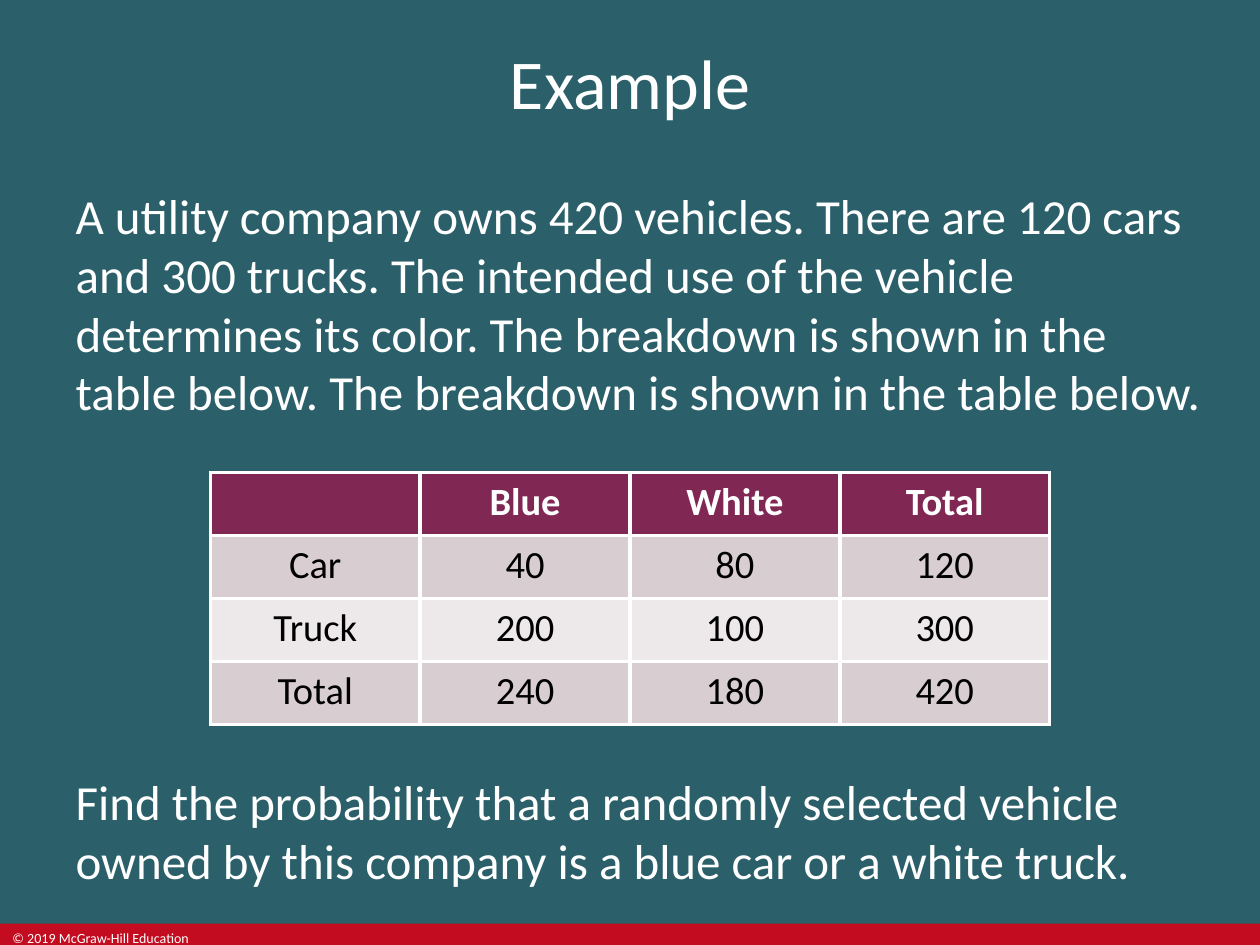
from lxml.etree import SubElement
from pptx import Presentation
from pptx.dml.color import RGBColor
from pptx.enum.shapes import MSO_SHAPE as Shape
from pptx.enum.text import MSO_ANCHOR as Anchor, MSO_AUTO_SIZE as AutoSize, PP_ALIGN as Align
from pptx.oxml.ns import qn
from pptx.util import Cm, Pt

TEAL = RGBColor(0x2B, 0x60, 0x6A)
RED = RGBColor(0xC3, 0x0C, 0x20)
PLUM = RGBColor(0x80, 0x27, 0x54)
BANDS = [RGBColor(0xD8, 0xCD, 0xD1), RGBColor(0xED, 0xE8, 0xE9)]
WHITE = RGBColor(0xFF, 0xFF, 0xFF)
BLACK = RGBColor(0x00, 0x00, 0x00)

TITLE = "Example"
SETUP = ("A utility company owns 420 vehicles. There are 120 cars and 300 trucks. "
         "The intended use of the vehicle determines its color. "
         "The breakdown is shown in the table below. "
         "The breakdown is shown in the table below.")
QUESTION = ("Find the probability that a randomly selected vehicle owned by this "
            "company is a blue car or a white truck.")
COPYRIGHT = "© 2019 McGraw-Hill Education"
VEHICLES = [
    ("", "Blue", "White", "Total"),
    ("Car", "40", "80", "120"),
    ("Truck", "200", "100", "300"),
    ("Total", "240", "180", "420"),
]

SLIDE_W, SLIDE_H = Cm(25.4), Cm(19.05)
COLUMN_W, ROW_H = Cm(4.23), Cm(1.27)
TABLE_TOP = Cm(9.53)
FOOTER_H = Cm(0.43)


def write(frame, text, size, color=WHITE, align=Align.LEFT, bold=False, after=0):
    frame.text = text
    paragraph = frame.paragraphs[0]
    properties = paragraph._p.get_or_add_pPr()
    properties.set("marL", "0")
    properties.set("indent", "0")
    SubElement(properties, qn("a:buNone"))
    paragraph.alignment = align
    paragraph.space_before = Pt(0)
    paragraph.space_after = Pt(after)
    font = paragraph.runs[0].font
    font.name, font.size, font.bold = "Calibri", Pt(size), bold
    font.color.rgb = color


def fill_placeholder(holder, box, text, size, anchor=Anchor.TOP, **style):
    holder.left, holder.top, holder.width, holder.height = box
    frame = holder.text_frame
    frame.word_wrap = True
    frame.auto_size = AutoSize.NONE
    frame.vertical_anchor = anchor
    write(frame, text, size, **style)


def add_borders(cell, color, width):
    properties = cell._tc.get_or_add_tcPr()
    for side in ("lnL", "lnR", "lnT", "lnB"):
        line = SubElement(properties, qn(f"a:{side}"), w=str(width))
        solid = SubElement(line, qn("a:solidFill"))
        SubElement(solid, qn("a:srgbClr"), val=str(color))


def add_vehicle_table(slide):
    rows, columns = len(VEHICLES), len(VEHICLES[0])
    width = COLUMN_W * columns
    table = slide.shapes.add_table(rows, columns, (SLIDE_W - width) // 2, TABLE_TOP,
                                   width, ROW_H * rows).table
    for column in table.columns:
        column.width = COLUMN_W
    for r, values in enumerate(VEHICLES):
        table.rows[r].height = ROW_H
        header = r == 0
        for c, value in enumerate(values):
            cell = table.cell(r, c)
            add_borders(cell, WHITE, Pt(2.25))
            cell.fill.solid()
            cell.fill.fore_color.rgb = PLUM if header else BANDS[(r - 1) % 2]
            if value:
                write(cell.text_frame, value, 22, color=WHITE if header else BLACK,
                      align=Align.CENTER, bold=header)


def add_footer(slide):
    top = SLIDE_H - FOOTER_H
    band = slide.shapes.add_shape(Shape.RECTANGLE, 0, top, SLIDE_W, FOOTER_H)
    band.shadow.inherit = False
    band.fill.solid()
    band.fill.fore_color.rgb = RED
    band.line.fill.background()
    notice = slide.shapes.add_textbox(0, top, Cm(4.32), FOOTER_H).text_frame
    notice.word_wrap = True
    write(notice, COPYRIGHT, 8)


def main():
    deck = Presentation()
    deck.slide_width, deck.slide_height = SLIDE_W, SLIDE_H
    slide = deck.slides.add_slide(deck.slide_layouts.get_by_name("Two Content"))
    slide.background.fill.solid()
    slide.background.fill.fore_color.rgb = TEAL

    add_footer(slide)
    title, setup, question = list(slide.placeholders)[:3]
    fill_placeholder(title, (0, 0, SLIDE_W, Cm(3.3)), TITLE, 40,
                     anchor=Anchor.MIDDLE, align=Align.CENTER)
    fill_placeholder(setup, (Cm(1.27), Cm(3.61), Cm(23.37), Cm(5.08)), SETUP, 28, after=6)
    add_vehicle_table(slide)
    fill_placeholder(question, (Cm(1.27), Cm(15.42), Cm(22.86), Cm(2.79)), QUESTION, 28,
                     after=6)
    deck.save("out.pptx")


if __name__ == "__main__":
    main()
